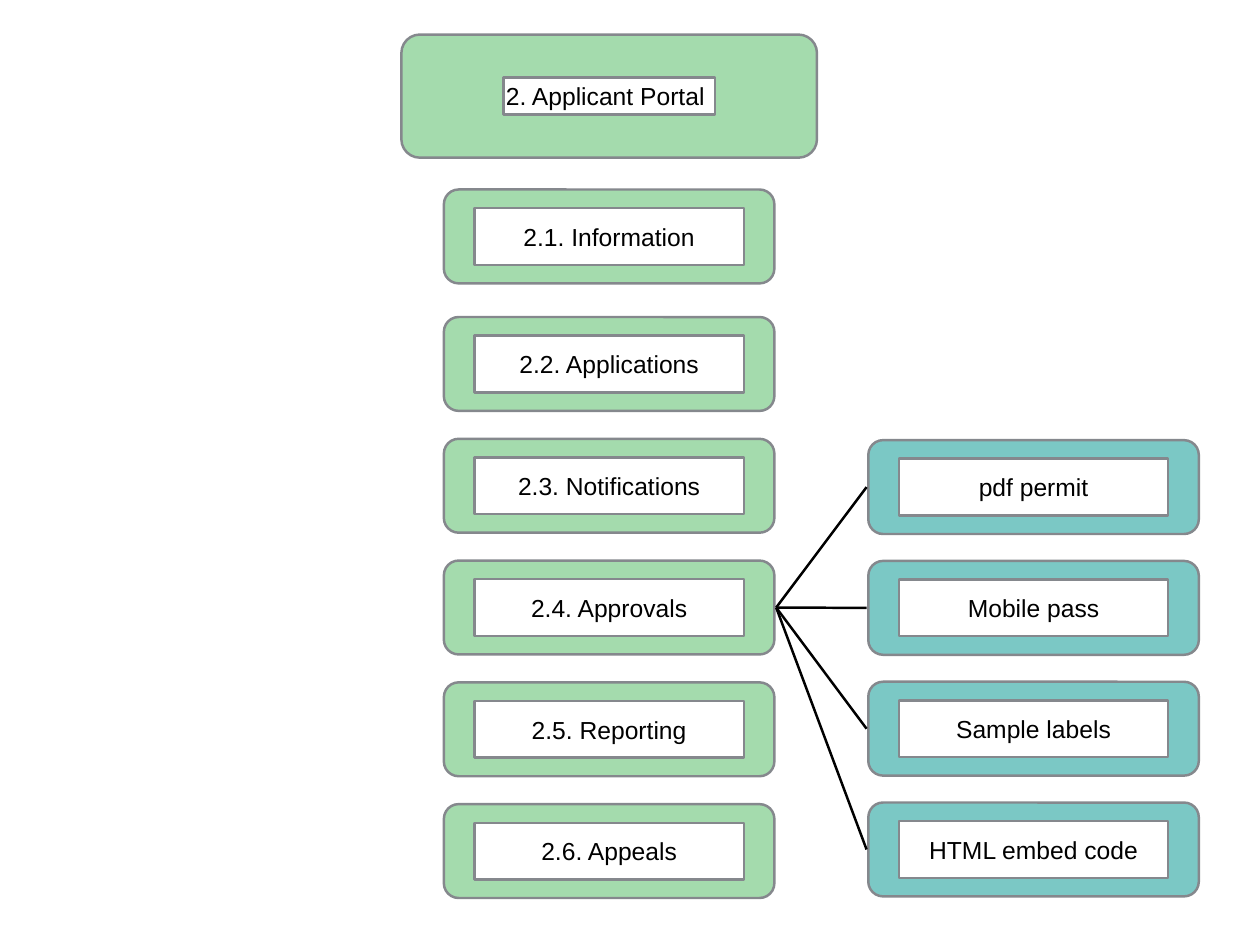
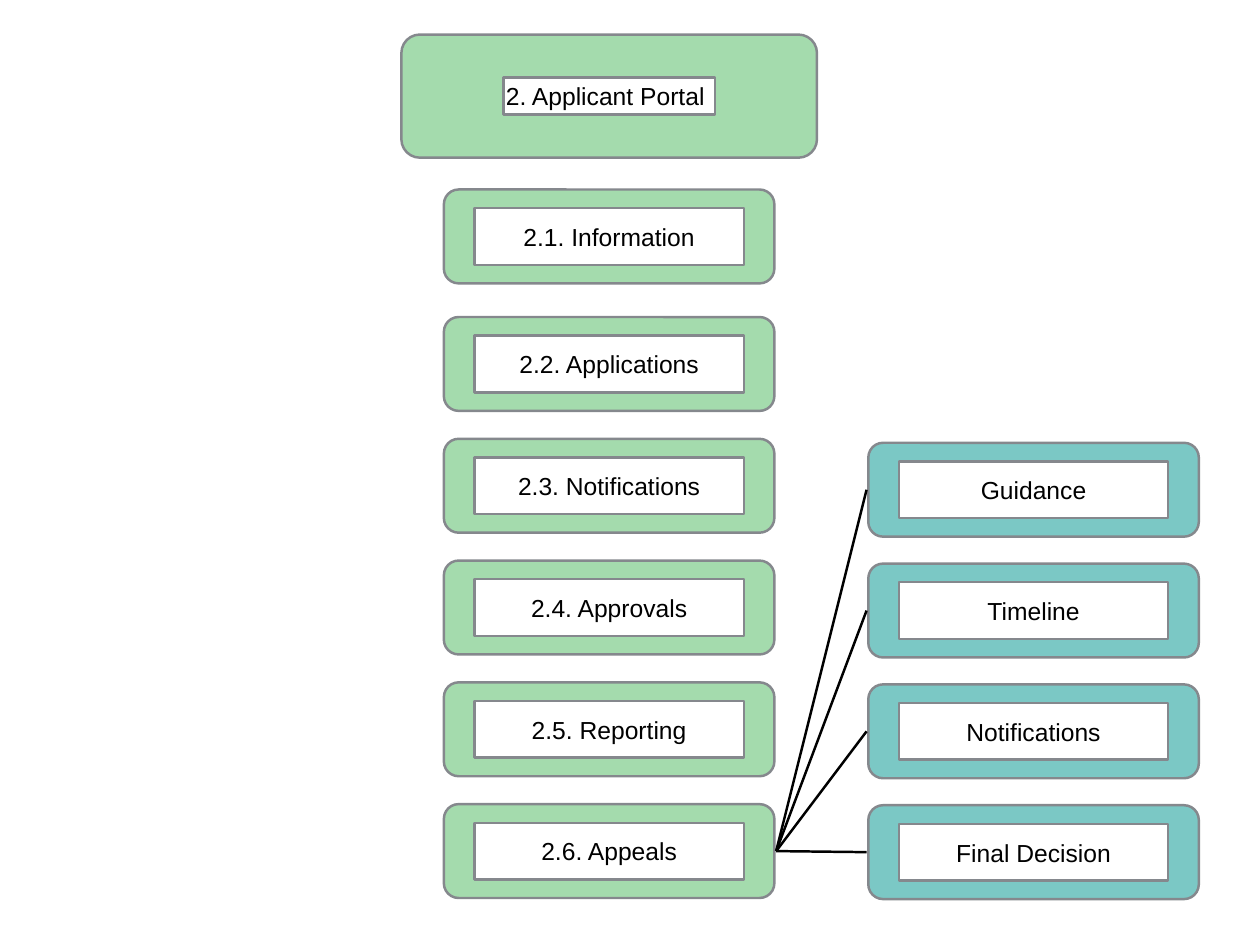
from lxml import etree
from pptx import Presentation
from pptx.dml.color import RGBColor
from pptx.enum.shapes import MSO_CONNECTOR, MSO_SHAPE
from pptx.enum.text import MSO_ANCHOR, MSO_AUTO_SIZE, PP_ALIGN
from pptx.oxml.ns import qn
from pptx.util import Inches, Pt

ROUND, RECT = MSO_SHAPE.ROUNDED_RECTANGLE, MSO_SHAPE.RECTANGLE
STRAIGHT = MSO_CONNECTOR.STRAIGHT
MIDDLE, FIXED = MSO_ANCHOR.MIDDLE, MSO_AUTO_SIZE.NONE
LEFT, CENTER = PP_ALIGN.LEFT, PP_ALIGN.CENTER

GREEN, TEAL, GREY, WHITE, BLACK = "A4DBAD", "7BC8C5", "85888D", "FFFFFF", "000000"
FONT, SIZE, STROKE, INSET = "Arial", 20, 2, 0.03

WIDTH, HEIGHT = 14.22, 10.67
HEAD = (4.53, 0.39, 4.69, 1.39)
HEAD_LABEL = (2.39, 0.42)
CARD_W, CARD_H = 3.73, 1.06
LABEL = (3.04, 0.64)
MENU_X, MENU_TOP, MENU_NEXT, MENU_STEP = 5.01, 2.14, 3.58, 1.375
ITEM_X, ITEM_STEP = 9.8, 1.364
GAP = 0.02

TITLE = "2. Applicant Portal"
MENU = ["2.1. Information", "2.2. Applications", "2.3. Notifications",
        "2.4. Approvals", "2.5. Reporting", "2.6. Appeals"]
# Each slide: menu row that fans out, top of its items, item names
SLIDES = [
    (3, 4.97, ["pdf permit", "Mobile pass", "Sample labels", "HTML embed code"]),
    (5, 5.0, ["Guidance", "Timeline", "Notifications", "Final Decision"]),
]


def color(code):
    """Turn a hex string into a colour."""
    return RGBColor.from_string(code)


def paint(shape, fill):
    """Give a shape its fill and the shared grey outline."""
    shape.fill.solid()
    shape.fill.fore_color.rgb = color(fill)
    shape.line.color.rgb = color(GREY)
    shape.line.width = Pt(STROKE)


def place(shape, box):
    """Move a shape to a box given in inches."""
    shape.left, shape.top, shape.width, shape.height = map(Inches, box)


def center(box, size):
    """Return a box of the given size centred in another box."""
    x, y, w, h = box
    return x + (w - size[0]) / 2, y + (h - size[1]) / 2, *size


def write(shape, text, align):
    """Fill a label with one line of text."""
    paint(shape, WHITE)
    frame = shape.text_frame
    frame.auto_size, frame.word_wrap = FIXED, True
    frame.vertical_anchor = MIDDLE
    frame.margin_left = frame.margin_right = Inches(INSET)
    frame.margin_top = frame.margin_bottom = Inches(INSET)
    line = frame.paragraphs[0]
    line.alignment = align
    run = line.add_run()
    run.text = text
    run.font.name, run.font.size = FONT, Pt(SIZE)
    run.font.color.rgb = color(BLACK)


def panel(slide, box, fill, bend):
    """Draw a rounded panel."""
    shape = slide.shapes.add_shape(ROUND, *map(Inches, box))
    shape.shadow.inherit = False
    shape.adjustments[0] = bend
    paint(shape, fill)


def header(slide, box):
    """Draw the top panel and set the title on it."""
    panel(slide, box, GREEN, 0.15)
    title = slide.shapes.title
    title.element.getparent().append(title.element)
    place(title, center(box, HEAD_LABEL))
    write(title, TITLE, LEFT)


def card(slide, box, text, fill):
    """Draw a panel with a centred white label."""
    panel(slide, box, fill, 0.157)
    label = slide.shapes.add_shape(RECT, *map(Inches, center(box, LABEL)))
    label.shadow.inherit = False
    write(label, text, CENTER)


def stack(slide, left, tops, names, fill):
    """Draw a column of cards and return their boxes."""
    boxes = [(left, top, CARD_W, CARD_H) for top in tops]
    for box, name in zip(boxes, names):
        card(slide, box, name, fill)
    return boxes


def link(slide, start, end):
    """Join the right side of one box to the left side of another."""
    x, y, w, h = start
    line = slide.shapes.add_connector(
        STRAIGHT, Inches(x + w + GAP), Inches(y + h / 2),
        Inches(end[0] - GAP), Inches(end[1] + end[3] / 2))
    line.line.color.rgb = color(BLACK)
    line.line.width = Pt(STROKE)
    etree.SubElement(line.element.spPr, qn("a:effectLst"))


def portal(deck, row, top, names):
    """Build one slide: header, menu and the items of one menu row."""
    slide = deck.slides.add_slide(deck.slide_layouts[5])
    header(slide, HEAD)
    rows = [MENU_TOP] + [MENU_NEXT + MENU_STEP * i for i in range(len(MENU) - 1)]
    menu = stack(slide, MENU_X, rows, MENU, GREEN)
    tops = [top + ITEM_STEP * i for i in range(len(names))]
    for item in stack(slide, ITEM_X, tops, names, TEAL):
        link(slide, menu[row], item)


deck = Presentation()
deck.slide_width, deck.slide_height = Inches(WIDTH), Inches(HEIGHT)
for row, top, names in SLIDES:
    portal(deck, row, top, names)
deck.save("out.pptx")
